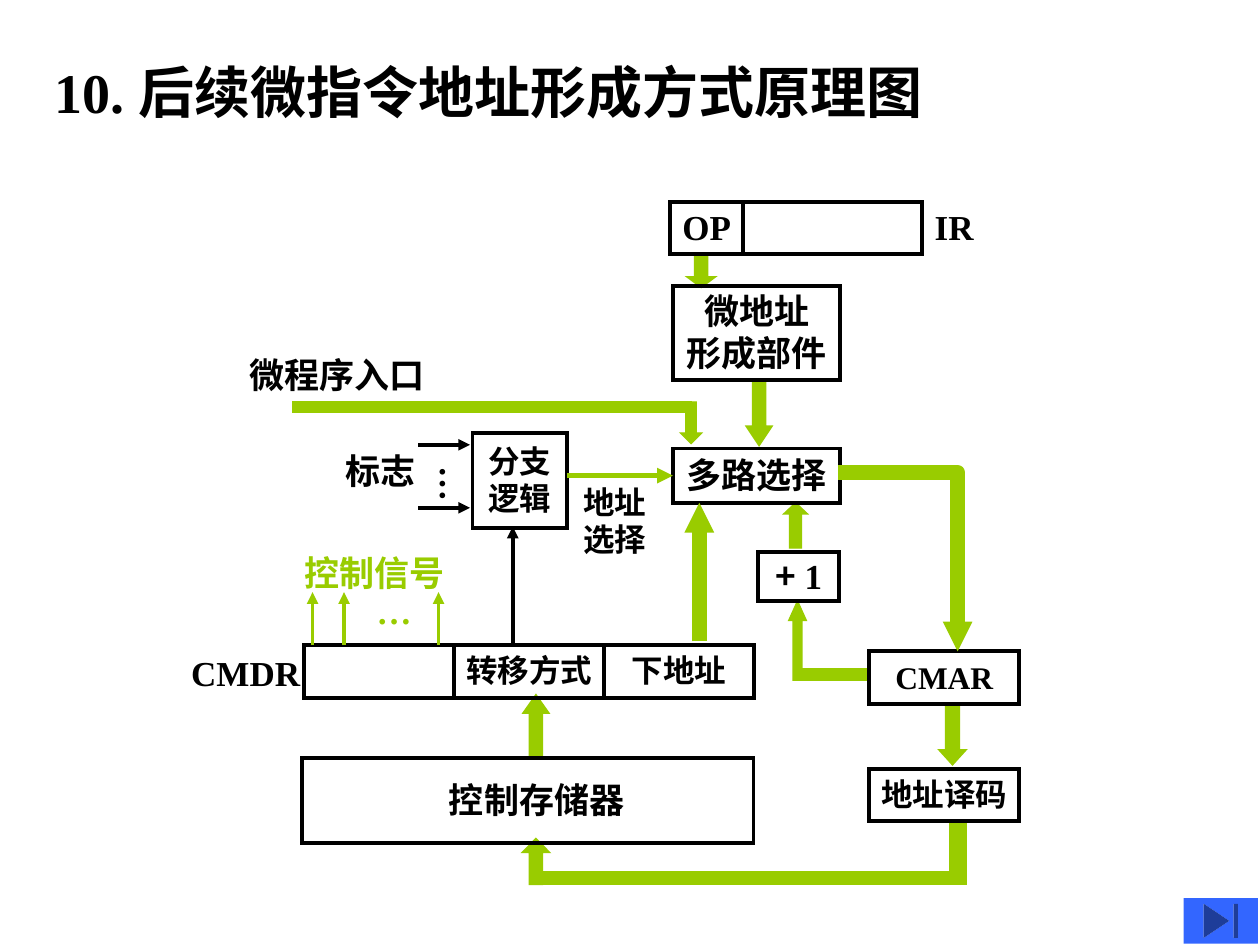
from dataclasses import dataclass

from lxml import etree
from pptx import Presentation
from pptx.dml.color import RGBColor
from pptx.enum.shapes import MSO_CONNECTOR, MSO_SHAPE
from pptx.enum.text import MSO_ANCHOR, PP_ALIGN
from pptx.oxml.ns import qn
from pptx.util import Pt

RECT = MSO_SHAPE.RECTANGLE
UP, DOWN = MSO_SHAPE.UP_ARROW, MSO_SHAPE.DOWN_ARROW
BUTTON = MSO_SHAPE.ACTION_BUTTON_END
STRAIGHT = MSO_CONNECTOR.STRAIGHT
MIDDLE, TOP = MSO_ANCHOR.MIDDLE, MSO_ANCHOR.TOP
CENTER, LEFT = PP_ALIGN.CENTER, PP_ALIGN.LEFT


@dataclass(frozen=True)
class Theme:
    ink: RGBColor = RGBColor(0, 0, 0)
    green: RGBColor = RGBColor(0x99, 0xCC, 0x00)
    blue: RGBColor = RGBColor(0x33, 0x66, 0xFF)
    latin: str = "Times New Roman"
    asian: str = "Noto Sans CJK SC"
    title_font: str = "DejaVu Sans"
    title: float = 32
    label: float = 20
    small: float = 18
    thin: float = 0.75
    medium: float = 2.25
    wide: float = 3
    bus: float = 8.5


theme = Theme()


def write(frame, text, size=theme.label, color=theme.ink, font=theme.latin,
          align=LEFT, anchor=TOP, wrap=False):
    """Append text to the frame's last paragraph; each newline opens another."""
    frame.word_wrap = wrap
    frame.vertical_anchor = anchor
    for number, line in enumerate(text.split("\n")):
        paragraph = frame.add_paragraph() if number else frame.paragraphs[-1]
        paragraph.alignment = align
        run = paragraph.add_run()
        run.text = line
        run.font.name, run.font.size, run.font.bold = font, Pt(size), True
        run.font.color.rgb = color
        east_asian = etree.SubElement(run.font._element, qn("a:ea"))
        east_asian.set("typeface", theme.asian)


def style_arrow(arrow, color, width):
    """Colour a line and put a triangle at its end, a small one on a bus."""
    arrow.line.color.rgb = color
    arrow.line.width = Pt(width)
    tail = etree.SubElement(arrow.line._get_or_add_ln(), qn("a:tailEnd"))
    tail.set("type", "triangle")
    if width == theme.bus:
        tail.set("w", "sm")
        tail.set("len", "sm")
    etree.SubElement(arrow._element.spPr, qn("a:effectLst"))


prs = Presentation()
prs.slide_width, prs.slide_height = Pt(720), Pt(540)
slide = prs.slides.add_slide(prs.slide_layouts[6])
shapes = slide.shapes

title = shapes.add_textbox(Pt(23.8), Pt(29.5), Pt(612.7), Pt(46)).text_frame
write(title, "10. ", size=theme.title, wrap=True)
write(title, "后续微指令地址形成方式原理图", size=theme.title,
      font=theme.title_font, wrap=True)

# Green signal paths: preset, left, top, width, height, head length, outline
signal_paths = [
    (DOWN, 536.4, 401.8, 15.8, 35.3, 0.55, theme.thin),
    (UP, 300.2, 398.2, 12.2, 33.8, 0.71, theme.medium),
    (DOWN, 427.7, 217.4, 12.2, 36, 0.75, theme.medium),
    (DOWN, 394.6, 145.4, 12.2, 18, 0.37, theme.medium),
    (RECT, 167, 229.7, 228.2, 5.8, None, theme.thin),
    (DOWN, 388.8, 229.7, 12.2, 23.8, 0.5, theme.thin),
    (RECT, 542.9, 469.4, 9.4, 36, None, theme.thin),
    (UP, 447.8, 287.3, 13.7, 25.9, 0.47, theme.thin),
    (RECT, 455.8, 382.3, 41, 6.5, None, theme.thin),
    (UP, 450.7, 343.4, 10.1, 45.4, 1.11, theme.thin),
    (RECT, 304.6, 498.2, 241.2, 7.2, None, theme.thin),
    (UP, 300.2, 480.2, 12.2, 24.5, 0.51, theme.medium),
]
for preset, left, top, width, height, head, outline in signal_paths:
    path_part = shapes.add_shape(preset, Pt(left), Pt(top), Pt(width), Pt(height))
    path_part.shadow.inherit = False
    if head:
        path_part.adjustments[1] = head
    path_part.fill.solid()
    path_part.fill.fore_color.rgb = theme.green
    path_part.line.color.rgb = theme.green
    path_part.line.width = Pt(outline)
    corner = etree.SubElement(path_part.line._get_or_add_ln(), qn("a:miter"))
    corner.set("lim", "800000")

# Units: text, left, top, width, height, type size
register_width, register_height = 85.6, 30.2
registers = [
    (text, left, top, register_width, register_height, theme.small)
    for text, left, top in [
        ("", 173.6, 368.6), ("转移方式", 259.6, 368.6), ("下地址", 345.1, 368.6),
        ("CMAR", 496.8, 372.2), ("地址译码", 496.8, 439.2),
    ]
]
units = registers + [
    ("OP", 383, 115.2, 41.8, 30.2, theme.label),
    ("", 424.8, 115.2, 102.2, 30.2, theme.label),
    ("微地址\n形成部件", 384.5, 163.4, 95.8, 54, theme.label),
    ("多路选择", 384.5, 256.3, 95.8, 31, theme.label),
    ("分支\n逻辑", 270, 247.7, 54, 54, theme.small),
    ("控制存储器", 172.8, 433.4, 257.8, 48.2, theme.label),
    ("+", 433.4, 315.4, 46.1, 28.1, theme.label),
]
unit_shapes = {}
for text, left, top, width, height, size in units:
    unit = shapes.add_shape(RECT, Pt(left), Pt(top), Pt(width), Pt(height))
    unit.shadow.inherit = False
    unit.fill.background()
    unit.line.color.rgb = theme.ink
    unit.line.width = Pt(theme.medium)
    corner = etree.SubElement(unit.line._get_or_add_ln(), qn("a:miter"))
    corner.set("lim", "800000")
    if text:
        unit_shapes[text] = unit
        unit.text_frame.margin_bottom = Pt(5)
        write(unit.text_frame, text, size=size, align=CENTER, anchor=MIDDLE,
              font=theme.asian if text == "+" else theme.latin)
write(unit_shapes["+"].text_frame, " 1", align=CENTER, anchor=MIDDLE)
unit_shapes["控制存储器"].text_frame.margin_left = Pt(17)

# Labels: text, left, top, width, height, type size, colour
labels = [
    ("地址\n选择", 326.2, 272.2, 54, 50.4, theme.small, theme.ink),
    ("CMDR", 102.2, 368.6, 80, 31.7, theme.label, theme.ink),
    ("…", 208.1, 333.4, 38, 31.7, theme.label, theme.green),
    ("控制信号", 167, 311.8, 98, 31.7, theme.label, theme.green),
    ("标志", 190.1, 253.4, 58, 31.7, theme.label, theme.ink),
    ("微程序入口", 135.4, 198.7, 118, 31.7, theme.label, theme.ink),
    ("IR", 527, 113.8, 40, 31.7, theme.label, theme.ink),
]
for text, left, top, width, height, size, color in labels:
    label = shapes.add_textbox(Pt(left), Pt(top), Pt(width), Pt(height))
    write(label.text_frame, text, size=size, color=color)

flag_dots = shapes.add_textbox(Pt(236.9), Pt(259.5), Pt(38.2), Pt(36)).text_frame
flag_dots._txBody.bodyPr.set("vert", "eaVert")
flag_dots.margin_left = flag_dots.margin_right = Pt(3.6)
flag_dots.margin_top = flag_dots.margin_bottom = Pt(7.2)
write(flag_dots, "…")

# Straight arrows: from x, from y, to x, to y, colour, width
control_signals = [(x, 368.6, x, 338.4, theme.green, theme.medium)
                   for x in (178.6, 196.6, 250.6)]
flags = [(239, y, 268.6, y, theme.ink, theme.medium) for y in (254.2, 290.2)]
transfer_mode = (293, 368, 293, 301, theme.ink, theme.medium)
next_address = (399.6, 366.5, 399.6, 287.3, theme.green, theme.bus)
for x1, y1, x2, y2, color, width in control_signals + flags + [transfer_mode, next_address]:
    arrow = shapes.add_connector(STRAIGHT, Pt(x1), Pt(y1), Pt(x2), Pt(y2))
    style_arrow(arrow, color, width)

address_select = shapes.add_connector(STRAIGHT, Pt(324), Pt(271.8), Pt(384.5), Pt(271.8))
address_select.end_connect(unit_shapes["多路选择"], 1)
style_arrow(address_select, theme.green, theme.wide)

outline = shapes.build_freeform(Pt(478.8), Pt(270))
outline.add_line_segments([(Pt(547.2), Pt(270)), (Pt(547.2), Pt(372.2))], close=False)
selected_address = outline.convert_to_shape()
selected_address.fill.background()
style_arrow(selected_address, theme.green, theme.bus)

end_button = shapes.add_shape(BUTTON, Pt(676.4), Pt(513.2), Pt(42.4), Pt(26))
end_button.shadow.inherit = False
end_button.fill.solid()
end_button.fill.fore_color.rgb = theme.blue
end_button.line.fill.background()

prs.save("out.pptx")
